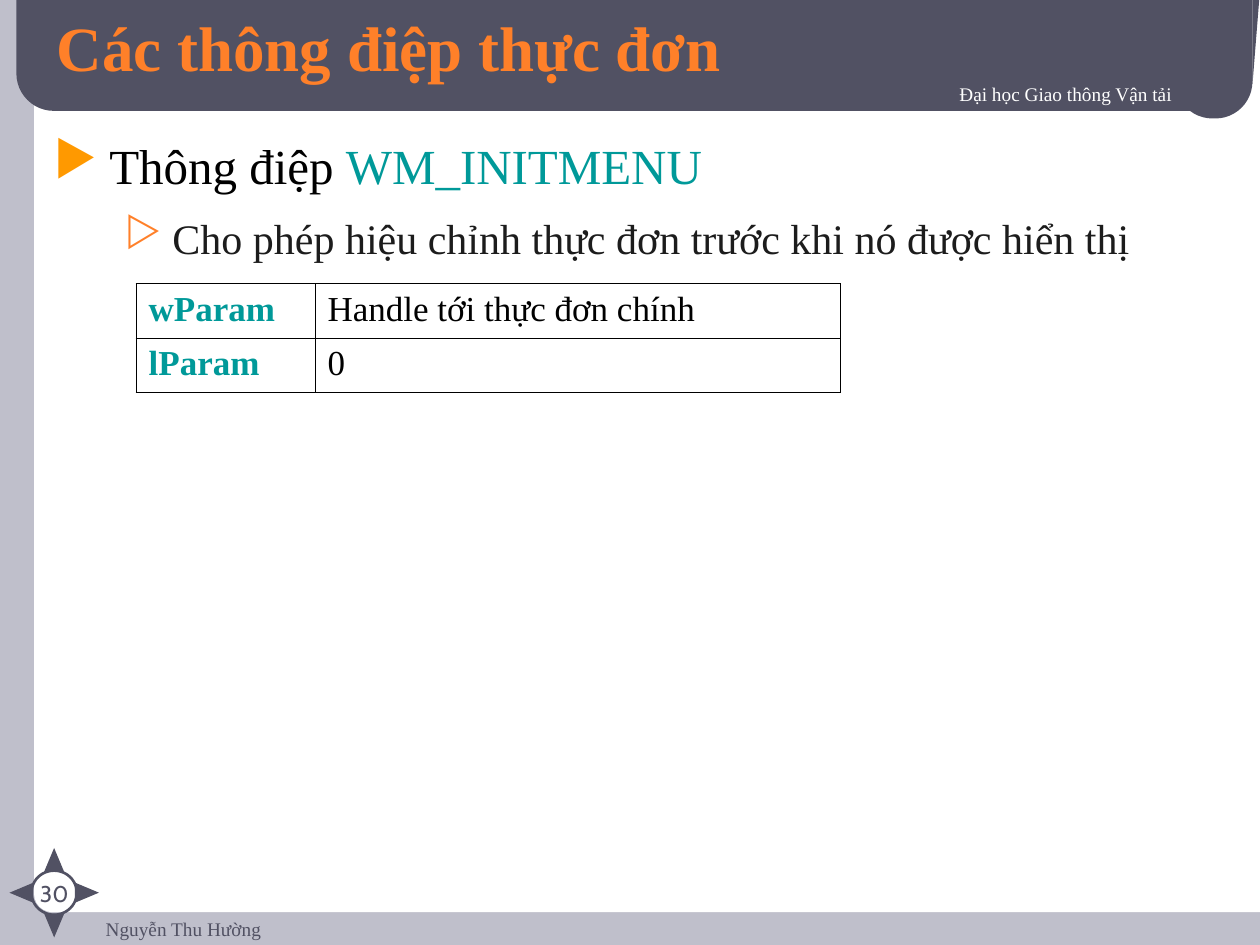
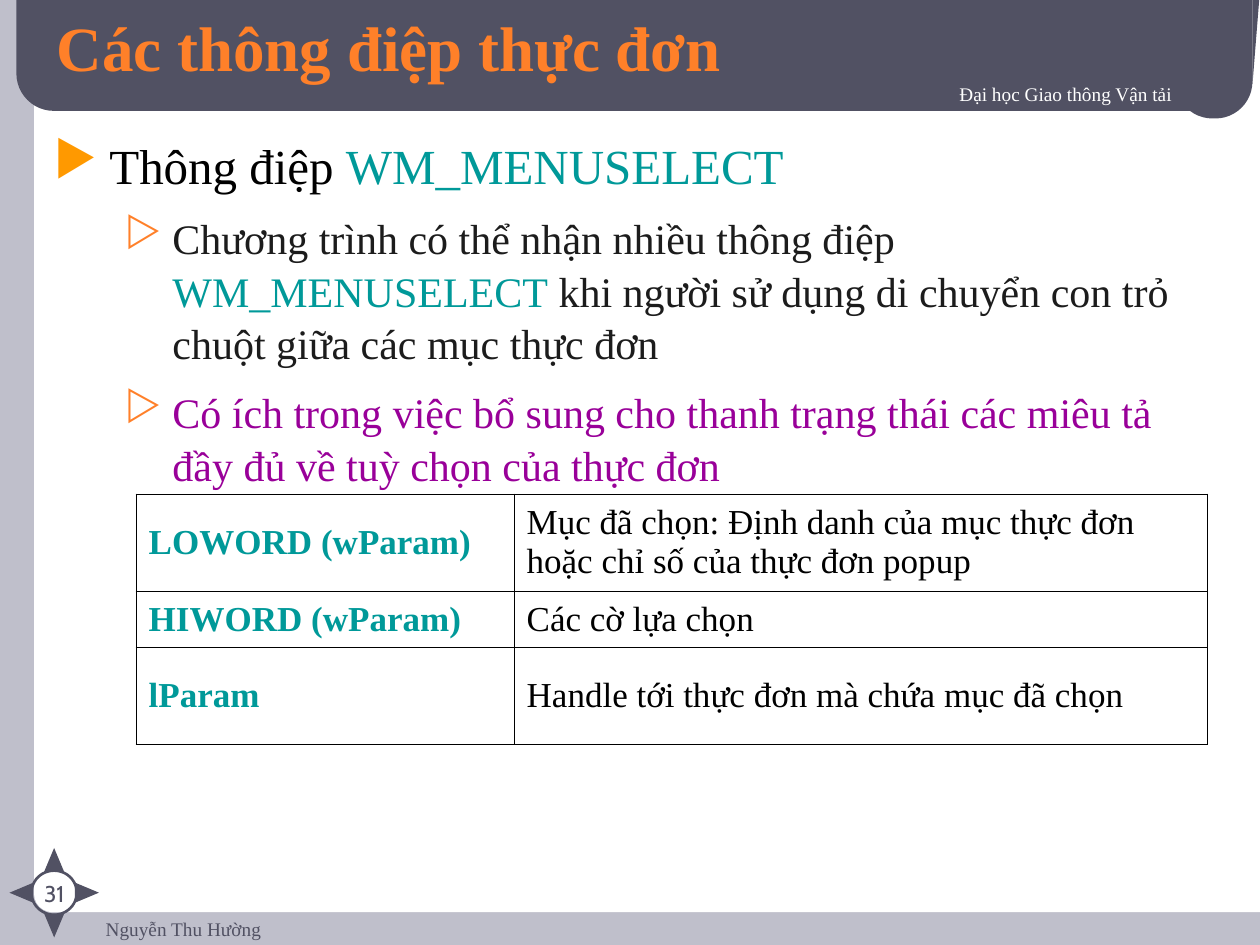
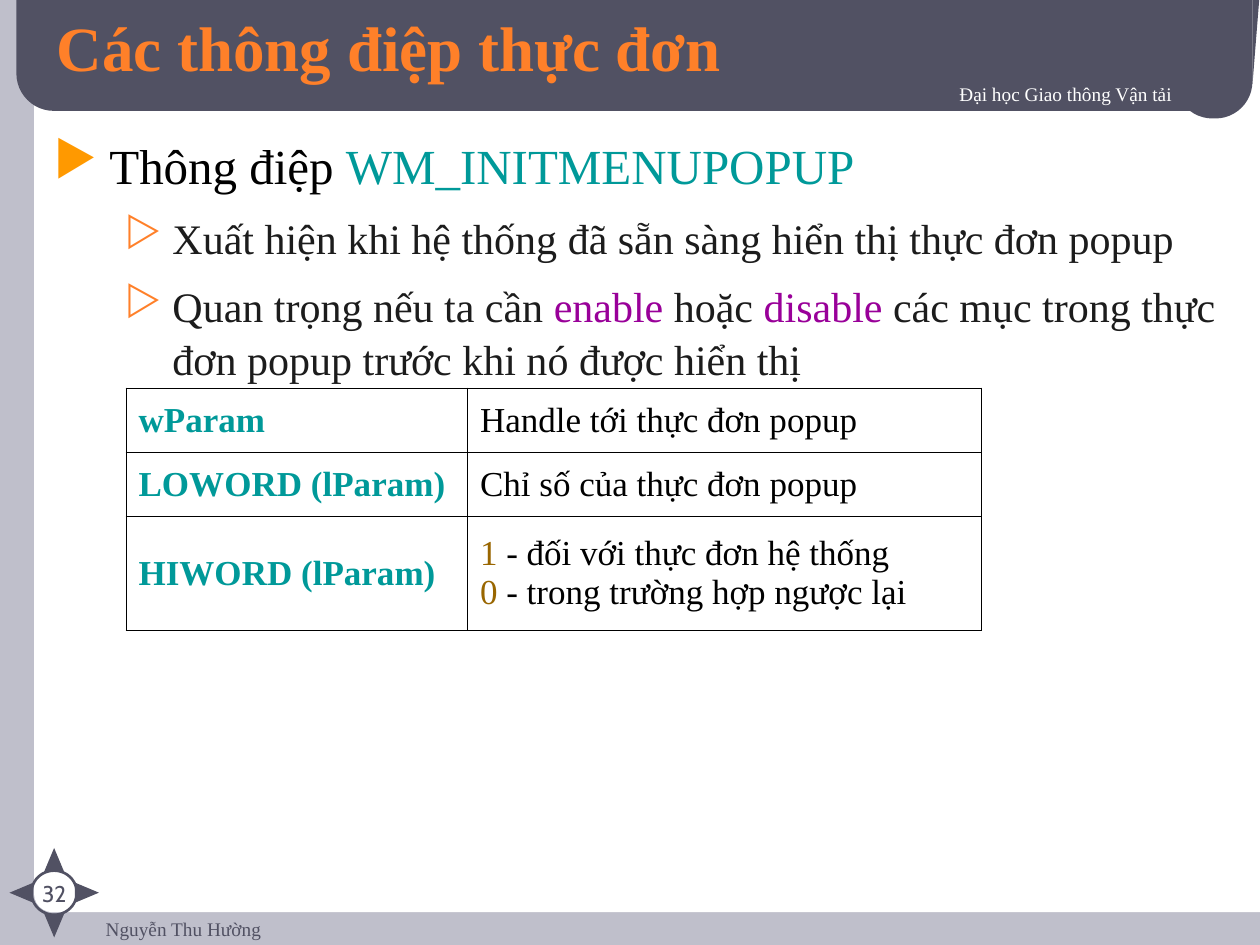
import math
from lxml import etree
from pptx import Presentation
from pptx import util as u
from pptx.dml.color import RGBColor
from pptx.enum import shapes, text
from pptx.oxml import ns

SLATE = RGBColor(0x51, 0x51, 0x63)
LAVENDER = RGBColor(0xBF, 0xBF, 0xCB)
WHITE = RGBColor(0xFF, 0xFF, 0xFF)
BLACK = RGBColor(0x00, 0x00, 0x00)
INK = RGBColor(0x1C, 0x1C, 0x1C)
ORANGE = RGBColor(0xFF, 0x80, 0x29)
AMBER = RGBColor(0xFF, 0x99, 0x00)
TEAL = RGBColor(0x00, 0x99, 0x99)
PURPLE = RGBColor(0x99, 0x00, 0x99)
BROWN = RGBColor(0x99, 0x66, 0x00)
SERIF, ROUND = "Times New Roman", "Cabin"

TITLE = {"name": SERIF, "size": u.Pt(36), "bold": True}
SMALL = {"name": SERIF, "size": u.Pt(11)}
NUMBER = {"name": ROUND, "size": u.Pt(13)}
KEY = {"name": SERIF, "size": u.Pt(20), "bold": True}
VALUE = {"name": SERIF, "size": u.Pt(20), "bold": False}
LEVELS = [
    {"font": {"name": SERIF, "size": u.Pt(28)}, "bullet": "▶", "tint": AMBER,
     "margin": 4.4, "hang": 4.4, "before": 17.5},
    {"font": {"name": SERIF, "size": u.Pt(24)}, "bullet": "▷", "tint": ORANGE,
     "margin": 9.4, "hang": 3.8, "before": 9},
]

lessons = [
    {"heading": "WM_INITMENU", "body": (92.3, 21.4),
     "points": [[("Cho phép hiệu chỉnh thực đơn trước khi nó được hiển thị", INK)]],
     "at": (10.8, 22.5), "columns": [14.2, 41.7], "rows": [4.3, 4.3],
     "anchor": text.MSO_ANCHOR.TOP,
     "params": [("wParam", [[("Handle tới thực đơn chính", BLACK)]]),
                ("lParam", [[("0", BLACK)]])]},
    {"heading": "WM_MENUSELECT", "body": (94.2, 28),
     "points": [[("Chương trình có thể nhận nhiều thông điệp ", INK),
                 ("WM_MENUSELECT", TEAL),
                 (" khi người sử dụng di chuyển con trỏ chuột giữa các mục thực đơn", INK)],
                [("Có ích trong việc bổ sung cho thanh trạng thái các miêu tả "
                  "đầy đủ về tuỳ chọn của thực đơn", PURPLE)]],
     "at": (10.8, 39.2), "columns": [30, 55], "rows": [7.7, 4.5, 7.7],
     "anchor": text.MSO_ANCHOR.MIDDLE,
     "params": [("LOWORD (wParam)", [[("Mục đã chọn: Định danh của mục thực đơn "
                                       "hoặc chỉ số của thực đơn popup", BLACK)]]),
                ("HIWORD (wParam)", [[("Các cờ lựa chọn", BLACK)]]),
                ("lParam", [[("Handle tới thực đơn mà chứa mục đã chọn", BLACK)]])]},
    {"heading": "WM_INITMENUPOPUP", "body": (94.2, 20.2),
     "points": [[("Xuất hiện khi hệ thống đã sẵn sàng hiển thị thực đơn popup", INK)],
                [("Quan trọng nếu ta cần ", INK), ("enable", PURPLE),
                 (" hoặc ", INK), ("disable", PURPLE),
                 (" các mục trong thực đơn popup trước khi nó được hiển thị", INK)]],
     "at": (10, 30.8), "columns": [27.1, 40.8], "rows": [5.1, 5.1, 9],
     "anchor": text.MSO_ANCHOR.MIDDLE,
     "params": [("wParam", [[("Handle tới thực đơn popup", BLACK)]]),
                ("LOWORD (lParam)", [[("Chỉ số của thực đơn popup", BLACK)]]),
                ("HIWORD (lParam)", [[("1", BROWN), (" - đối với thực đơn hệ thống", BLACK)],
                                     [("0", BROWN), (" - trong trường hợp ngược lại", BLACK)]])]},
]

prs = Presentation()
prs.slide_width, prs.slide_height = u.Inches(10), u.Inches(7.5)
UNIT = prs.slide_width // 100


def grid(*steps):
    return [round(UNIT * step) for step in steps]


def write(paragraph, runs, style):
    for words, color in runs:
        run = paragraph.add_run()
        run.text = words
        for attribute, value in style.items():
            setattr(run.font, attribute, value)
        run.font.color.rgb = color


background = prs.slide_master.background.fill
background.solid()
background.fore_color.rgb = LAVENDER
layout = prs.slide_layouts[5]
for holder in list(layout.placeholders):
    if holder.placeholder_format.type != shapes.PP_PLACEHOLDER.TITLE:
        holder.element.getparent().remove(holder.element)

slides = [prs.slides.add_slide(layout) for _ in lessons]
draft = slides[0].shapes
PRESET = shapes.MSO_SHAPE
frame = [
    (PRESET.ROUNDED_RECTANGLE, (2.7, -1.3, 100.1, 73.7), 0, 0.02, WHITE),
    (PRESET.ROUNDED_RECTANGLE, (1.3, -3.6, 98.1, 12.4), 0, 0.24, SLATE),
    (PRESET.ROUNDED_RECTANGLE, (93.3, 2.9, 6.1, 6.5), 0, 0.48, SLATE),
    (PRESET.RIGHT_TRIANGLE, (95.95, 2.65, 7.5, 0.6), 90, None, SLATE),
    (PRESET.OVAL, (2.5, 69.1, 3.6, 3.5), 0, None, None),
]
for angle in range(0, 360, 90):
    turn = math.radians(angle)
    tip = (3.5 + 2.6 * math.sin(turn), 69.9 - 2.6 * math.cos(turn), 1.6, 1.9)
    frame.append((PRESET.ISOSCELES_TRIANGLE, tip, angle, None, SLATE))

for preset, place, angle, corner, color in frame:
    part = draft.add_shape(preset, *grid(*place))
    part.shadow.inherit = False
    part.rotation = angle
    if corner:
        part.adjustments[0] = corner
    if color is None:
        part.fill.background()
        part.line.color.rgb = SLATE
        part.line.width = u.Pt(1.5)
    else:
        part.fill.solid()
        part.fill.fore_color.rgb = color
        part.line.fill.background()
    layout.shapes.element.append(part.element)

for words, place, inset, align, color in [
    ("Nguyễn Thu Hường", (7.4, 72.8, 77.4, 3.3), 0, text.PP_ALIGN.LEFT, SLATE),
    ("Đại học Giao thông Vận tải", (30.3, 6, 63.7, 3.8), 0.5, text.PP_ALIGN.RIGHT, WHITE),
]:
    credit = draft.add_textbox(*grid(*place))
    credit.text_frame.word_wrap = True
    credit.text_frame.margin_top, credit.text_frame.margin_bottom = grid(inset, inset)
    line = credit.text_frame.paragraphs[0]
    line.alignment = align
    write(line, [(words, color)], SMALL)
    if color == WHITE:
        shaded_credit = line
    layout.shapes.element.append(credit.element)

for number, (slide, lesson) in enumerate(zip(slides, lessons), 30):
    title = slide.shapes.title
    title.left, title.top, title.width, title.height = grid(3.5, 0.8, 83.6, 5.7)
    title.text_frame.auto_size = text.MSO_AUTO_SIZE.NONE
    title.text_frame.vertical_anchor = text.MSO_ANCHOR.MIDDLE
    heading = title.text_frame.paragraphs[0]
    heading.alignment = text.PP_ALIGN.LEFT
    write(heading, [("Các thông điệp thực đơn", ORANGE)], TITLE)

    page = slide.shapes.add_textbox(*grid(1.4, 69.3, 5.8, 2.2))
    page.text_frame.word_wrap = True
    page.text_frame.paragraphs[0].alignment = text.PP_ALIGN.CENTER
    write(page.text_frame.paragraphs[0], [(str(number), SLATE)], NUMBER)

    body = slide.shapes.add_textbox(*grid(3.3, 10, *lesson["body"])).text_frame
    body.word_wrap = True
    message = [("Thông điệp ", BLACK), (lesson["heading"], TEAL)]
    for index, runs in enumerate([message] + lesson["points"]):
        depth = min(index, 1)
        level = LEVELS[depth]
        point = body.add_paragraph() if index else body.paragraphs[0]
        point.level = depth
        point.line_spacing = 1.05
        point.space_before = u.Pt(level["before"])
        write(point, runs, level["font"])
        props = point._p.get_or_add_pPr()
        margin, hang = grid(level["margin"], level["hang"])
        props.set("marL", str(margin))
        props.set("indent", str(-hang))
        tint = etree.SubElement(props, ns.qn("a:buClr"))
        etree.SubElement(tint, ns.qn("a:srgbClr"), val=str(level["tint"]))
        etree.SubElement(props, ns.qn("a:buChar"), char=level["bullet"])

    columns, rows = lesson["columns"], lesson["rows"]
    table = slide.shapes.add_table(
        len(rows), len(columns), *grid(*lesson["at"], sum(columns), sum(rows))).table
    table.first_row = table.horz_banding = False
    for column, width in zip(table.columns, grid(*columns)):
        column.width = width
    for row, height in zip(table.rows, grid(*rows)):
        row.height = height
    for r, (key, meaning) in enumerate(lesson["params"]):
        for c, (lines, style) in enumerate([([[(key, TEAL)]], KEY), (meaning, VALUE)]):
            cell = table.cell(r, c)
            cell.vertical_anchor = lesson["anchor"]
            cell.fill.background()
            for i, runs in enumerate(lines):
                entry = cell.text_frame.add_paragraph() if i else cell.text_frame.paragraphs[0]
                write(entry, runs, style)
            for i, side in enumerate(("a:lnL", "a:lnR", "a:lnT", "a:lnB")):
                edge = etree.Element(ns.qn(side), w=str(u.Pt(0.45)))
                paint = etree.SubElement(edge, ns.qn("a:solidFill"))
                etree.SubElement(paint, ns.qn("a:srgbClr"), val=str(BLACK))
                cell._tc.get_or_add_tcPr().insert(i, edge)

for line in [shaded_credit] + [slide.shapes.title.text_frame.paragraphs[0] for slide in slides]:
    effects = etree.Element(ns.qn("a:effectLst"))
    shadow = etree.SubElement(effects, ns.qn("a:outerShdw"), dist=str(u.Pt(2)), dir="2700000")
    etree.SubElement(shadow, ns.qn("a:srgbClr"), val=str(BLACK))
    line.runs[0].font._element.find(ns.qn("a:solidFill")).addnext(effects)

prs.save("out.pptx")
